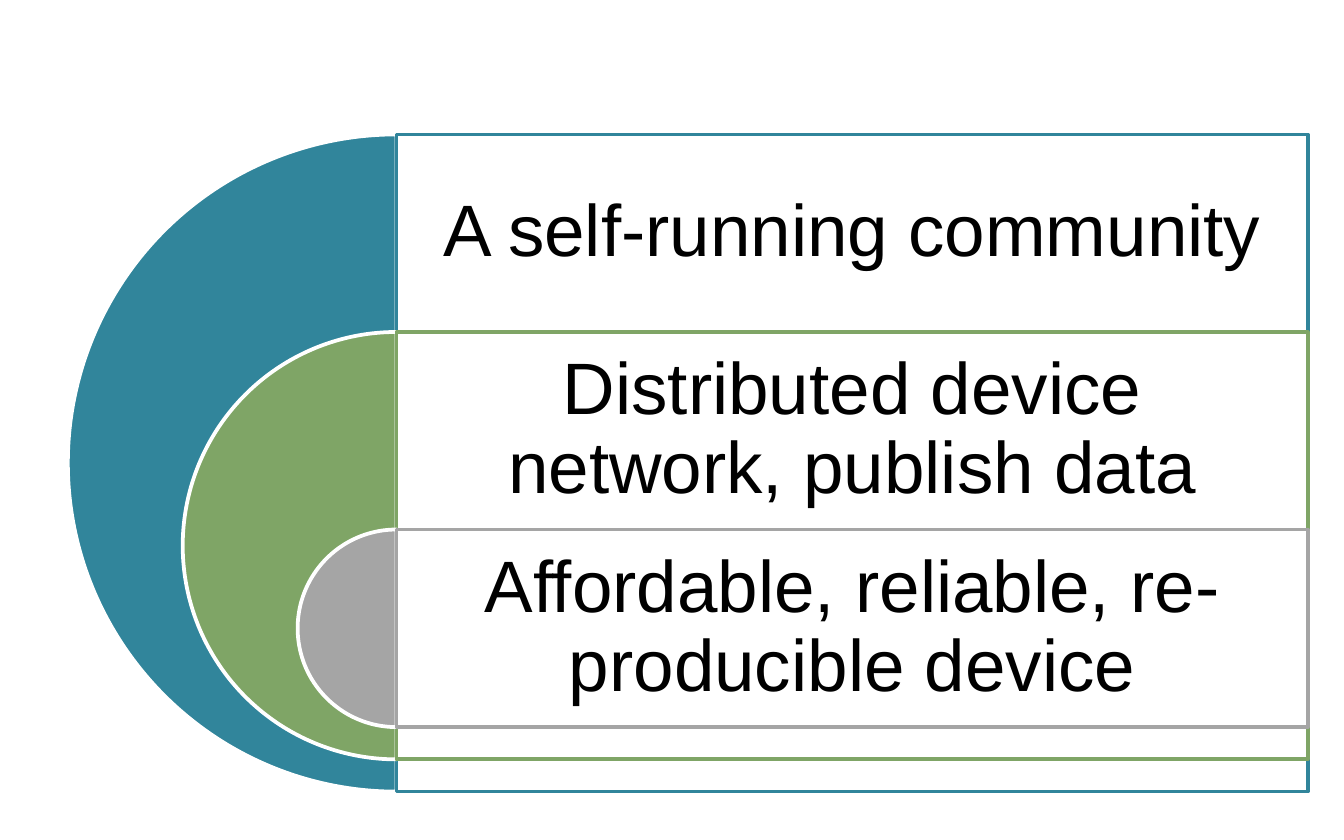
from pptx import Presentation
from pptx.dml.color import RGBColor
from pptx.enum.shapes import MSO_SHAPE as SHAPE
from pptx.enum.text import MSO_ANCHOR as ANCHOR, PP_ALIGN as ALIGN
from pptx.oxml.ns import qn
from pptx.util import Pt
from lxml import etree

PX = 4572  # 200 px to the inch


def rgb(color):
    return RGBColor.from_string(color)


def add_filled(s, kind, box, fill, line):
    sp = s.shapes.add_shape(kind, *[v * PX for v in box])
    sp.shadow.inherit = False
    sp.fill.solid()
    sp.fill.fore_color.rgb = rgb(fill)
    sp.line.color.rgb = rgb(line)
    sp.line.width = Pt(2)
    return sp


prs = Presentation()
prs.slide_width, prs.slide_height = 2000 * PX, 1250 * PX
s = prs.slides.add_slide(prs.slide_layouts[6])

# Layers from outer to inner
layers = [
    ("A self-running community", "31859B"),
    ("Distributed device network, publish data", "7FA566"),
    ("Affordable, reliable, re-producible device", "A5A5A5"),
]
TOP, ROW, AXIS, WIDTH = 200, 294, 590, 1356
OUTER, SHRINK = 978, 342
INSET = 32

for i, (label, color) in enumerate(layers):
    top = TOP + i * ROW
    size = OUTER - i * SHRINK

    # Half disc left of the axis
    pie = add_filled(s, SHAPE.PIE, (AXIS - size // 2, top, size, size), color, "FFFFFF")
    pie.adjustments[0] = 54   # 90 degrees
    pie.adjustments[1] = 162  # 270 degrees

    # Slightly transparent frame
    frame = add_filled(s, SHAPE.RECTANGLE, (AXIS, top, WIDTH, size), "FFFFFF", color)
    clr = frame.fill._xPr.find(qn("a:solidFill"))[0]
    etree.SubElement(clr, qn("a:alpha"), val="90000")

    # Label in the top row of the frame
    tf = s.shapes.add_textbox(AXIS * PX, top * PX, WIDTH * PX, ROW * PX).text_frame
    tf.word_wrap = True
    tf.vertical_anchor = ANCHOR.MIDDLE
    tf.margin_left = tf.margin_right = tf.margin_top = tf.margin_bottom = INSET * PX
    p = tf.paragraphs[0]
    p.alignment = ALIGN.CENTER
    p.line_spacing = 0.9
    r = p.add_run()
    r.text = label
    r.font.name = "Arial"
    r.font.size = Pt(39)
    r.font.color.rgb = rgb("000000")

prs.save("out.pptx")
